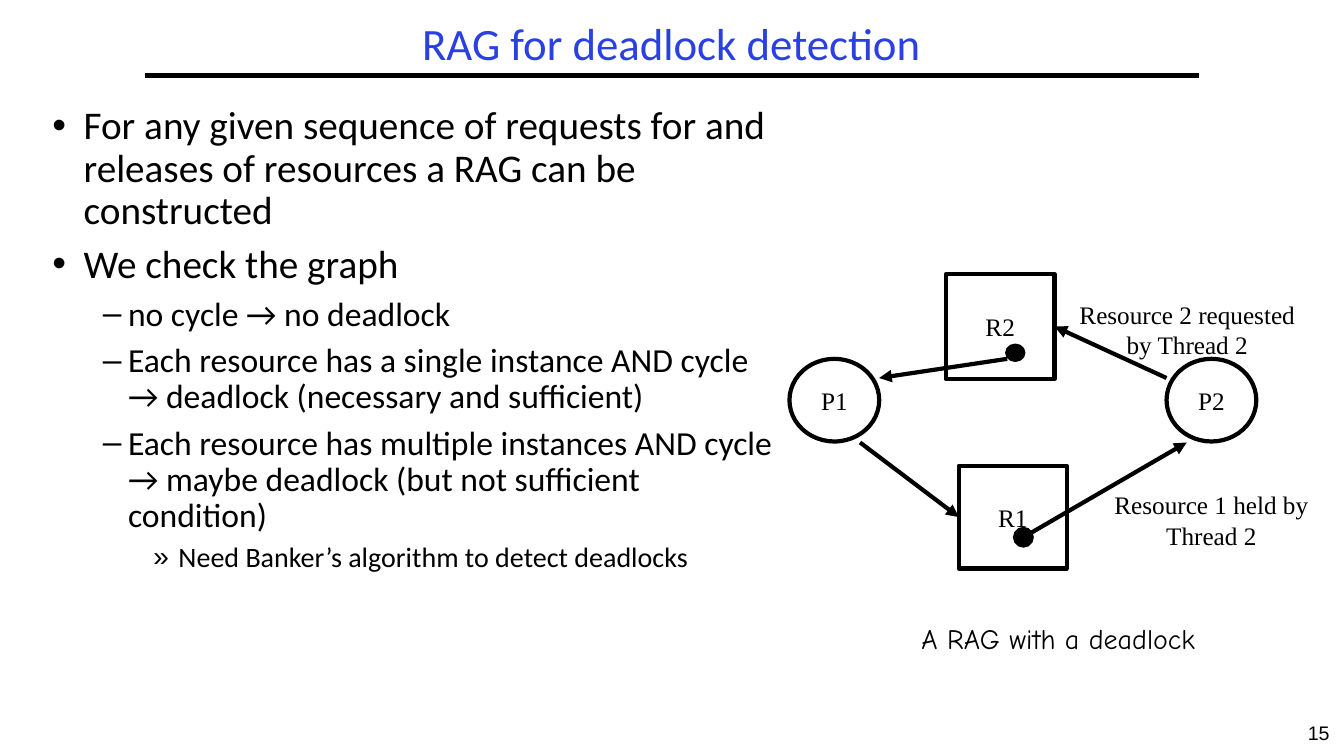
from pptx import Presentation
from pptx.dml.color import RGBColor
from pptx.enum.shapes import MSO_CONNECTOR, MSO_SHAPE
from pptx.enum.text import MSO_ANCHOR, MSO_AUTO_SIZE, PP_ALIGN
from pptx.oxml.ns import qn
from pptx.util import Inches, Pt
from lxml import etree

STRAIGHT = MSO_CONNECTOR.STRAIGHT
OVAL, RECT = MSO_SHAPE.OVAL, MSO_SHAPE.RECTANGLE
MIDDLE, TOP = MSO_ANCHOR.MIDDLE, MSO_ANCHOR.TOP
CENTER, LEFT = PP_ALIGN.CENTER, PP_ALIGN.LEFT
NO_FIT = MSO_AUTO_SIZE.NONE
RIGHT_SIDE, LEFT_SIDE = 3, 1

WIDTH, HEIGHT = 13.33, 7.5
BLACK, WHITE, BLUE = "000000", "FFFFFF", "2A40E2"
SERIF = "Times New Roman"

TITLE = "RAG for deadlock detection"
BULLETS = [
    (0, "For any given sequence of requests for and releases of resources a RAG can be constructed"),
    (0, "We check the graph"),
    (1, "no cycle → no deadlock"),
    (1, "Each resource has a single instance AND cycle → deadlock (necessary and sufficient)"),
    (1, "Each resource has multiple instances AND cycle → maybe deadlock (but not sufficient condition)"),
    (2, "Need Banker’s algorithm to detect deadlocks"),
]
LEVELS = [("•", 28, 0.31, 0.31), ("–", 24, 0.75, 0.25), ("»", 20, 1.25, 0.25)]
NODES = {
    "P1": (OVAL, 7.83, 3.56, 0.89, 0.82),
    "P2": (OVAL, 11.57, 3.56, 0.89, 0.82),
    "R1": (RECT, 9.51, 4.62, 1.07, 1.02),
    "R2": (RECT, 9.38, 2.72, 1.08, 1.04),
}
INSTANCE_DOT = (9.99, 3.43, 0.16, 0.14)
EDGES = [
    ((8.53, 4.39), (9.51, 5.13), "R1", LEFT_SIDE, False),
    ((10.15, 5.33), (11.77, 4.39), None, None, True),
    ((11.57, 3.75), (10.46, 3.24), "R2", RIGHT_SIDE, False),
    ((9.99, 3.56), (8.72, 3.75), None, None, False),
]
LABELS = [
    ("Resource 1 held by Thread 2", (10.9, 4.81, 2.23, 0.7), 18, SERIF, CENTER),
    ("Resource 2 requested by Thread 2", (10.58, 2.92, 2.39, 0.7), 18, SERIF, CENTER),
    ("A RAG with a deadlock", (9.04, 6.12, 3.15, 0.44), 20, "Comic Neue", LEFT),
    ("15", (WIDTH - 0.5, HEIGHT - 0.4, 0.5, 0.4), 14, "Arial", CENTER),
]


def color(value):
    return RGBColor.from_string(value)


def place(s, box):
    s.left, s.top, s.width, s.height = map(Inches, box)


def style(p, size, font, ink=BLACK, align=None):
    p.alignment = align
    for r in p.runs:
        r.font.size, r.font.name = Pt(size), font
        r.font.color.rgb = color(ink)


def add_node(shapes, kind, box, fill, text=""):
    s = shapes.add_shape(kind, *map(Inches, box))
    s.shadow.inherit = False
    s.fill.solid()
    s.fill.fore_color.rgb = color(fill)
    s.line.color.rgb = color(BLACK)
    s.line.width = Pt(3)
    if text:
        tf = s.text_frame
        tf.text, tf.word_wrap, tf.vertical_anchor = text, False, MIDDLE
        style(tf.paragraphs[0], 18, SERIF, align=CENTER)
    return s


def add_line(shapes, start, end):
    c = shapes.add_connector(STRAIGHT, *map(Inches, start + end))
    c.line.color.rgb = color(BLACK)
    c.line.width = Pt(3)
    etree.SubElement(c._element.spPr, qn("a:effectLst"))
    return c


def add_arrow(shapes, start, end, dotted):
    c = add_line(shapes, start, end)
    ln = c.line._get_or_add_ln()
    if dotted:
        etree.SubElement(ln, qn("a:headEnd"), type="oval", w="lg", len="lg")
    etree.SubElement(ln, qn("a:tailEnd"), type="triangle")
    return c


def fill_bullets(tf):
    tf.text = "\n".join(text for _, text in BULLETS)
    for i, (p, (level, _)) in enumerate(zip(tf.paragraphs, BULLETS)):
        mark, size, margin, hang = LEVELS[level]
        p.level = level
        pPr = p._p.get_or_add_pPr()
        pPr.set("marL", str(Inches(margin)))
        pPr.set("indent", str(-Inches(hang)))
        etree.SubElement(pPr, qn("a:buChar"), char=mark)
        p.line_spacing = 0.9
        p.space_before = Pt(0.3 * size if i else 0)
        style(p, size, "Calibri", align=LEFT)


def main():
    """Build the deadlock detection slide."""
    prs = Presentation()
    prs.slide_width, prs.slide_height = Inches(WIDTH), Inches(HEIGHT)
    slide = prs.slides.add_slide(prs.slide_layouts[1])
    shapes = slide.shapes

    title, body = shapes.title, slide.placeholders[1]
    place(title, (1.44, 0.17, 10.44, 0.58))
    place(body, (0.42, 1, 7.43, 6.08))
    for s, anchor in ((title, MIDDLE), (body, TOP)):
        s.text_frame.auto_size = NO_FIT
        s.text_frame.vertical_anchor = anchor
    title.text_frame.text = TITLE
    p = title.text_frame.paragraphs[0]
    p.line_spacing = 0.9
    style(p, 32, "Calibri", BLUE, CENTER)
    fill_bullets(body.text_frame)

    add_line(shapes, (1.44, 0.75), (11.89, 0.75))
    nodes = {name: add_node(shapes, kind, box, WHITE, name)
             for name, (kind, *box) in NODES.items()}
    add_node(shapes, OVAL, INSTANCE_DOT, BLACK)
    for start, end, target, side, dotted in EDGES:
        c = add_arrow(shapes, start, end, dotted)
        if target:
            c.end_connect(nodes[target], side)

    for text, box, size, font, align in LABELS:
        tf = shapes.add_textbox(*map(Inches, box)).text_frame
        tf.text, tf.word_wrap = text, True
        style(tf.paragraphs[0], size, font, align=align)

    prs.save("out.pptx")


if __name__ == "__main__":
    main()
